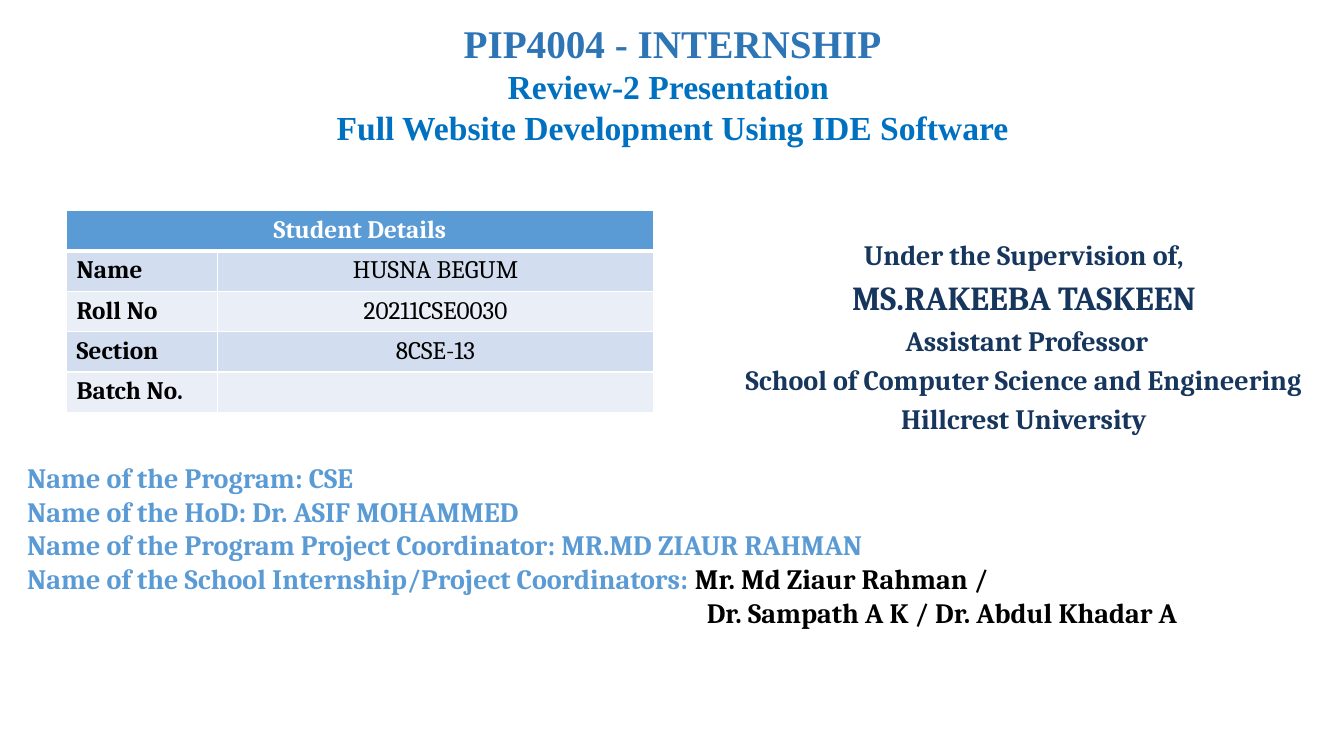
from dataclasses import dataclass

from lxml import etree
from pptx import Presentation
from pptx import util as u
from pptx.dml.color import RGBColor
from pptx.enum import text
from pptx.oxml import ns

PX = 9144
COLORS = {
    "title": "2E75B6",
    "subtitle": "0070C0",
    "navy": "17365D",
    "blue": "5B9BD5",
    "band_dark": "D2DEEF",
    "band_light": "EAEFF7",
    "white": "FFFFFF",
    "black": "000000",
}
CENTER = text.PP_ALIGN.CENTER
LEFT = text.PP_ALIGN.LEFT


@dataclass(frozen=True)
class Run:
    words: str
    size: int = 20
    color: str = "black"
    bold: bool = True
    font: str = "Cambria"


@dataclass(frozen=True)
class Line:
    runs: tuple[Run, ...]
    before: int = 0
    indent: int = 0


@dataclass(frozen=True)
class Box:
    left: int
    top: int
    width: int
    height: int


def add_text(p, words: str, *, size: int, color: str, bold: bool, font: str) -> None:
    r = p.add_run()
    r.text = words
    r.font.size = u.Pt(size)
    r.font.bold = bold
    r.font.name = font
    r.font.color.rgb = RGBColor.from_string(COLORS[color])


def write_line(p, line: Line, align) -> None:
    p.alignment = align
    p.space_before = u.Pt(line.before)
    for run in line.runs:
        add_text(p, run.words, size=run.size, color=run.color, bold=run.bold, font=run.font)


def place(sp, box: Box) -> None:
    sp.left, sp.top = box.left * PX, box.top * PX
    sp.width, sp.height = box.width * PX, box.height * PX
    tf = sp.text_frame
    tf.word_wrap = True
    tf.auto_size = text.MSO_AUTO_SIZE.NONE
    tf.vertical_anchor = text.MSO_ANCHOR.TOP


def fill_list(sp, box: Box, lines: list[Line], align) -> None:
    place(sp, box)
    tf = sp.text_frame
    for i, line in enumerate(lines):
        p = tf.add_paragraph() if i else tf.paragraphs[0]
        write_line(p, line, align)
        pPr = p._p.get_or_add_pPr()
        pPr.set("marL", str(line.indent * PX))
        pPr.set("indent", "0")
        etree.SubElement(pPr, ns.qn("a:buNone"))


def fill_title(sp, box: Box, runs: list[Run]) -> None:
    place(sp, box)
    p = sp.text_frame.paragraphs[0]
    for i, run in enumerate(runs):
        if i:
            p.add_line_break()
        write_line(p, Line((run,)), CENTER)


def style_cell(cell, fill: str, top: int = 1, bottom: int = 1) -> None:
    cell.fill.solid()
    cell.fill.fore_color.rgb = RGBColor.from_string(COLORS[fill])
    tcPr = cell._tc.get_or_add_tcPr()
    for i, (side, width) in enumerate({"L": 1, "R": 1, "T": top, "B": bottom}.items()):
        ln = etree.Element(ns.qn(f"a:ln{side}"), w=str(u.Pt(width)))
        paint = etree.SubElement(ln, ns.qn("a:solidFill"))
        etree.SubElement(paint, ns.qn("a:srgbClr"), val=COLORS["white"])
        tcPr.insert(i, ln)


def add_details(slide, box: Box, widths: list[int], header: str, rows: list[tuple[str, str]]) -> None:
    table = slide.shapes.add_table(
        len(rows) + 1, len(widths), box.left * PX, box.top * PX, box.width * PX, box.height * PX
    ).table
    for column, width in zip(table.columns, widths):
        column.width = width * PX
    table.cell(0, 0).merge(table.cell(0, 1))
    for cell in table.rows[0].cells:
        style_cell(cell, "blue", bottom=3)
    heading = Line((Run(header, 18, "white"),))
    write_line(table.cell(0, 0).text_frame.paragraphs[0], heading, CENTER)
    for i, (label, value) in enumerate(rows, 1):
        for cell, words, bold, align in zip(
            table.rows[i].cells, (label, value), (True, False), (LEFT, CENTER)
        ):
            style_cell(cell, "band_dark" if i % 2 else "band_light", top=3 if i == 1 else 1)
            runs = (Run(words, 18, bold=bold),) if words else ()
            write_line(cell.text_frame.paragraphs[0], Line(runs), align)


def main() -> None:
    prs = Presentation()
    prs.slide_width, prs.slide_height = 1333 * PX, 750 * PX
    slide = prs.slides.add_slide(prs.slide_layouts[3])
    title, supervision, program = slide.placeholders

    times = "Times New Roman"
    fill_title(title, Box(92, 14, 1150, 171), [
        Run("PIP4004 - INTERNSHIP", 28, "title", font=times),
        Run("Review-2 Presentation ", 24, "subtitle", font=times),
        Run("Full Website Development Using IDE Software", 24, "subtitle", font=times),
    ])

    fill_list(supervision, Box(714, 231, 603, 221), [
        Line((Run("Under the Supervision of,", color="navy"),)),
        Line((Run("MS.RAKEEBA TASKEEN", 24, "navy"),), 4),
        Line((Run(" Assistant Professor", color="navy"),), 4),
        Line((Run("School of Computer Science and Engineering", color="navy"),), 4),
        Line((Run("Hillcrest University", color="navy"),), 4),
    ], CENTER)

    fill_list(program, Box(17, 452, 1340, 171), [
        Line((Run("Name of the Program: CSE", color="blue"),)),
        Line((Run("Name of the HoD: Dr. ASIF MOHAMMED", color="blue"),)),
        Line((Run("Name of the Program Project Coordinator: MR.MD ZIAUR RAHMAN", color="blue"),)),
        Line((
            Run("Name of the School Internship/Project Coordinators: ", color="blue"),
            Run("Mr. Md Ziaur Rahman /"),
        )),
        Line((Run("Dr. Sampath A K / Dr. Abdul Khadar A"),), indent=674),
    ], LEFT)

    add_details(slide, Box(66, 209, 582, 200), [150, 432], "Student Details", [
        ("Name", "HUSNA BEGUM"),
        ("Roll No", "20211CSE0030"),
        ("Section", "8CSE-13"),
        ("Batch No.", ""),
    ])
    prs.save("out.pptx")


if __name__ == "__main__":
    main()
